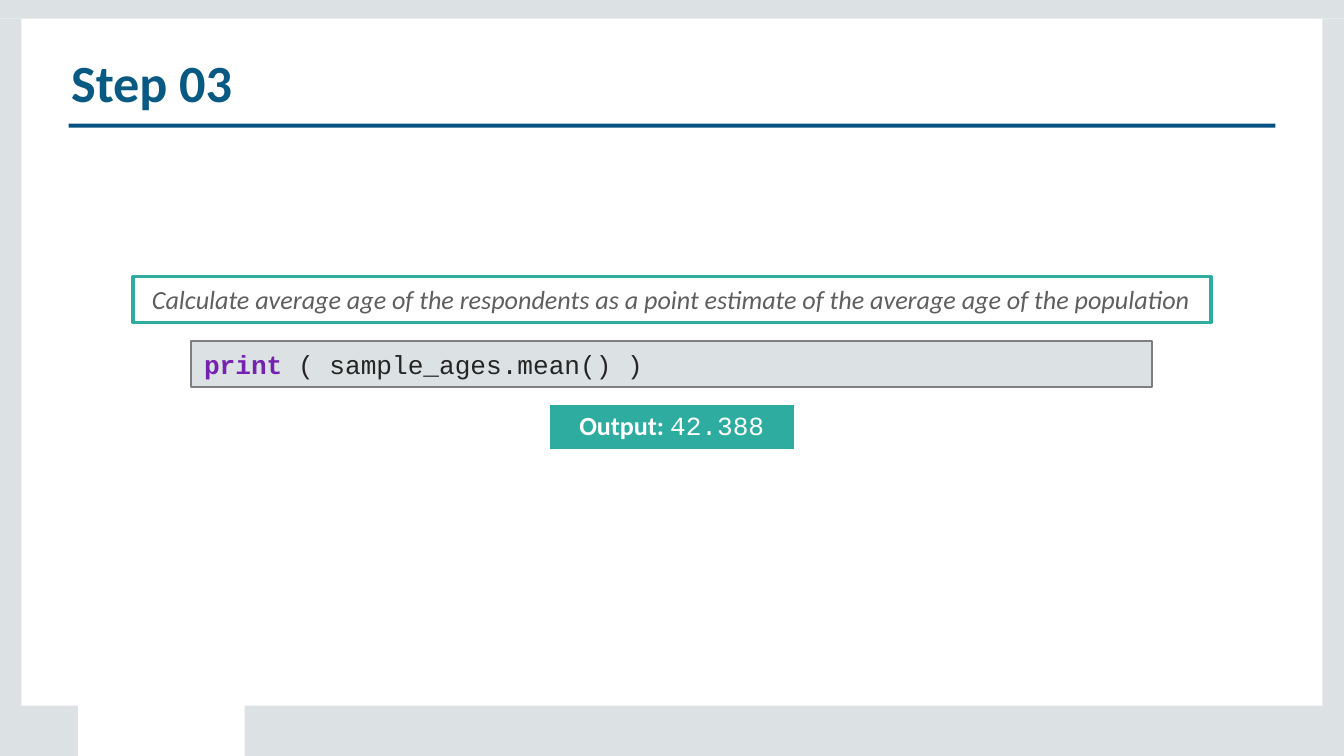
from pptx import Presentation
from pptx.dml.color import RGBColor
from pptx.enum import shapes, text
from pptx.util import Inches, Pt

PALE = RGBColor(0xDC, 0xE2, 0xE3)
NAVY = RGBColor(0x09, 0x5A, 0x82)
RULE_BLUE = RGBColor(0x05, 0x51, 0x80)
TEAL = RGBColor(0x2D, 0xAC, 0x9F)
GREY = RGBColor(0x5F, 0x5F, 0x5F)
BORDER = RGBColor(0x7E, 0x7E, 0x7E)
PURPLE = RGBColor(0x74, 0x22, 0xB0)
INK = RGBColor(0x25, 0x25, 0x25)
WHITE = RGBColor(0xFF, 0xFF, 0xFF)

prs = Presentation()
prs.slide_width = Inches(10)
prs.slide_height = Inches(10) * 9 // 16
slide = prs.slides.add_slide(prs.slide_layouts[6])


def add_box(left, top, width, height, fill=None, line=None, weight=1):
    box = slide.shapes.add_shape(
        shapes.MSO_SHAPE.RECTANGLE,
        Inches(left), Inches(top), Inches(width), Inches(height))
    box.shadow.inherit = False
    if fill is None:
        box.fill.background()
    else:
        box.fill.solid()
        box.fill.fore_color.rgb = fill
    if line is None:
        box.line.fill.background()
    else:
        box.line.color.rgb = line
        box.line.width = Pt(weight)
    return box


def write(box, indent, top, runs, size=14):
    frame = box.text_frame
    frame.word_wrap = True
    frame.vertical_anchor = text.MSO_ANCHOR.TOP
    frame.margin_left = Inches(indent)
    frame.margin_top = Inches(top)
    frame.margin_right = frame.margin_bottom = 0
    paragraph = frame.paragraphs[0]
    paragraph.alignment = text.PP_ALIGN.LEFT
    for wording, face, colour, bold, italic in runs:
        run = paragraph.add_run()
        run.text = wording
        run.font.name = face
        run.font.size = Pt(size)
        run.font.color.rgb = colour
        run.font.bold = bold
        run.font.italic = italic
        run._r.get_or_add_rPr().set("spc", "-3")


for edge in [(9.84, 0.14, 0.16, 5.12), (0, 0.14, 0.16, 5.12),
             (1.82, 5.25, 8.18, 0.38), (0, 5.25, 0.58, 0.38),
             (0, 0, 10, 0.14)]:
    add_box(*edge, fill=PALE)

add_box(0.51, 0.92, 8.98, 0.03, fill=RULE_BLUE)

title = slide.shapes.add_textbox(
    Inches(0.52), Inches(0.35), Inches(1.23), Inches(0.49))
write(title, 0.01, 0.02, [("Step 03", "Calibri", NAVY, True, False)], size=28)

add_box(4.09, 3.01, 1.82, 0.34, fill=TEAL, line=WHITE, weight=0.72)
output = slide.shapes.add_textbox(
    Inches(4.09), Inches(3.03), Inches(1.82), Inches(0.26))
write(output, 0.22, 0.02, [("Output: ", "Calibri", WHITE, True, False),
                           ("42.388", "Courier New", WHITE, False, False)])

task = add_box(0.99, 2.06, 8.02, 0.34, line=TEAL, weight=1.8)
write(task, 0.14, 0.05, [("Calculate average age of the respondents as a point estimate "
                          "of the average age of the population",
                          "Calibri", GREY, False, True)])

code = add_box(1.42, 2.54, 7.15, 0.34, fill=PALE, line=BORDER, weight=0.96)
write(code, 0.1, 0.05, [("print ", "Courier New", PURPLE, True, False),
                        ("( sample_ages.mean() )", "Courier New", INK, False, False)])

prs.save("out.pptx")
